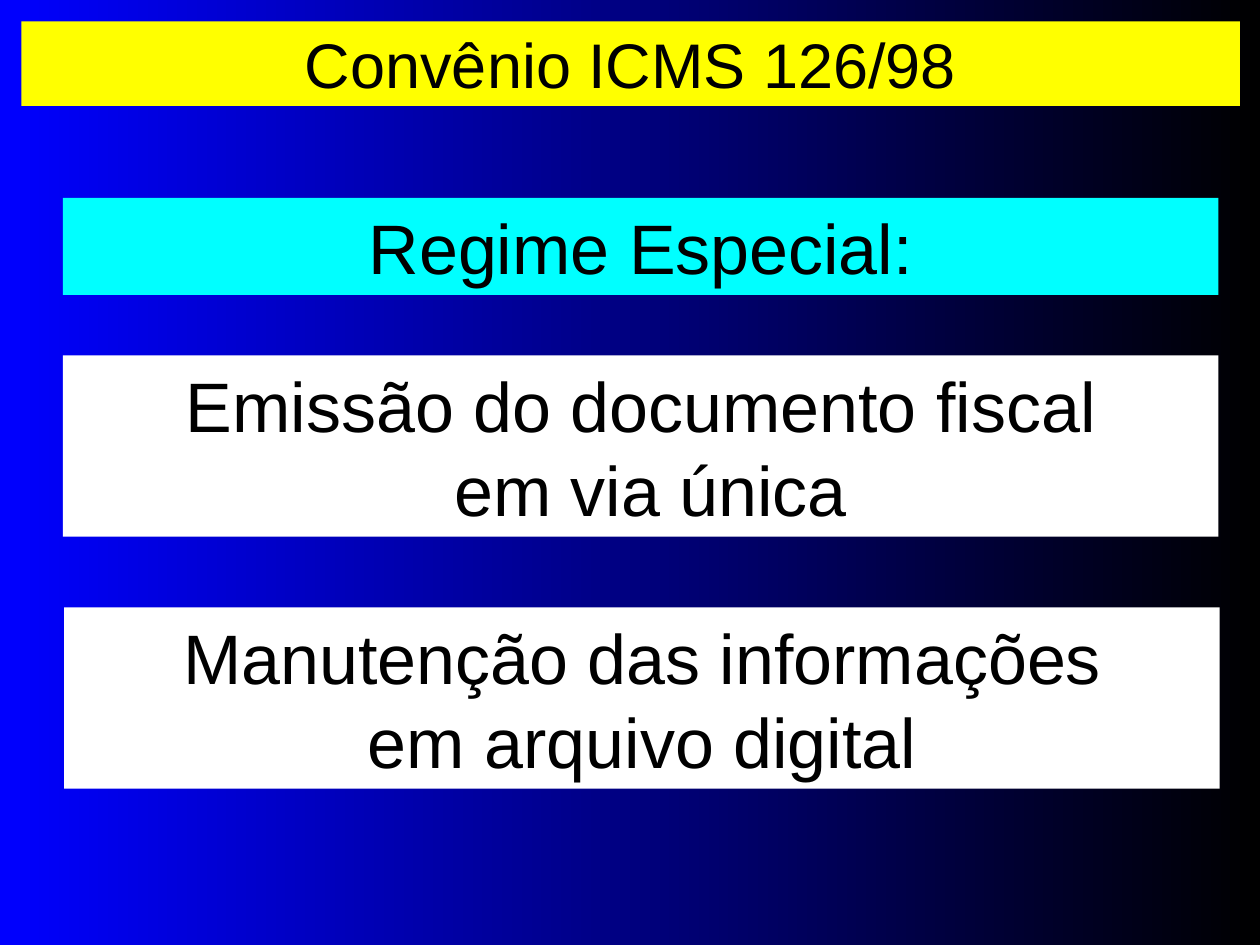
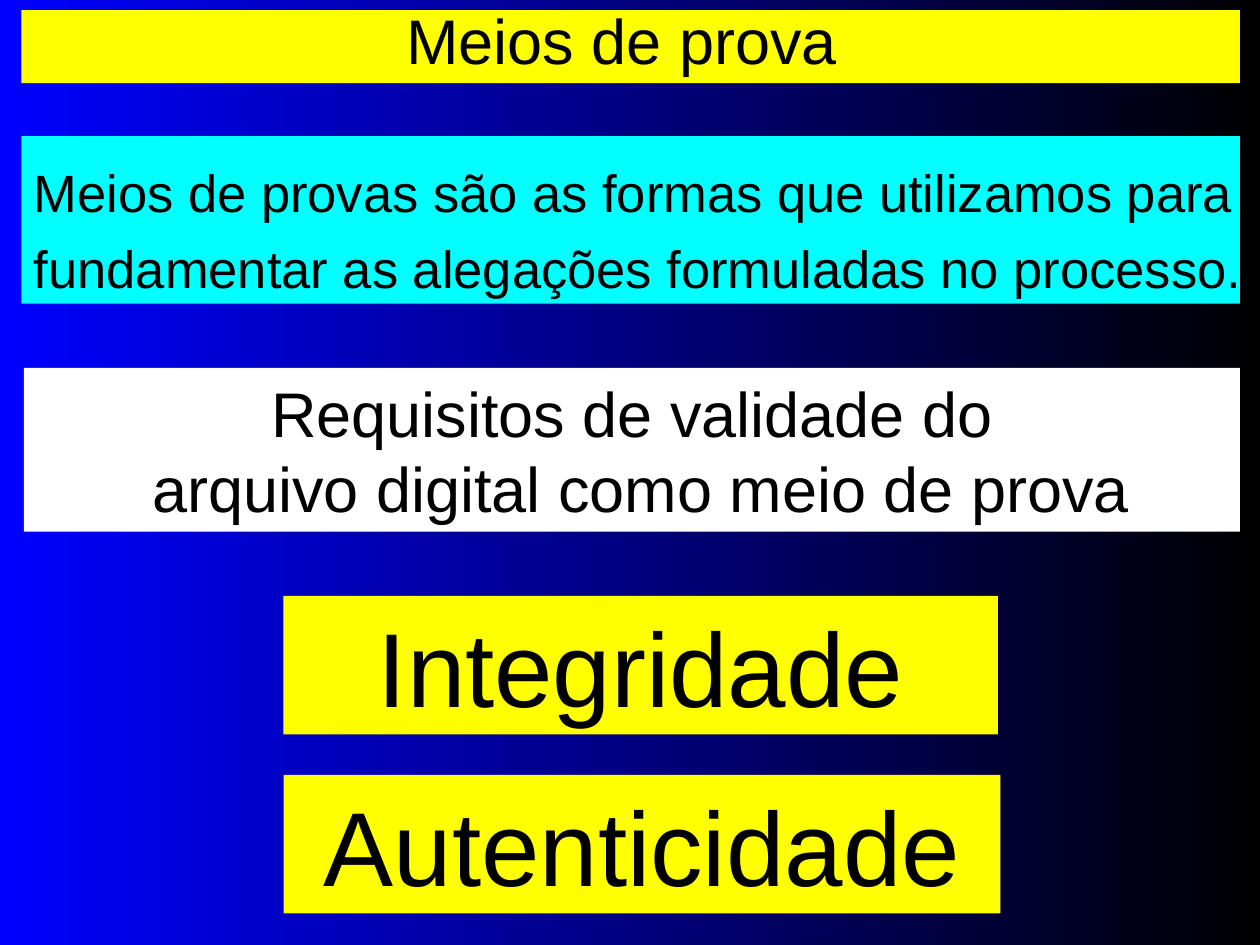
from dataclasses import dataclass

from pptx import Presentation
from pptx.dml.color import RGBColor
from pptx.enum.shapes import MSO_SHAPE
from pptx.enum.text import MSO_ANCHOR, MSO_AUTO_SIZE, PP_ALIGN
from pptx.util import Inches, Pt


@dataclass(frozen=True)
class Theme:
    font: str = "Arial"
    blue: RGBColor = RGBColor(0, 0, 255)
    black: RGBColor = RGBColor(0, 0, 0)
    yellow: RGBColor = RGBColor(255, 255, 0)
    cyan: RGBColor = RGBColor(0, 255, 255)
    white: RGBColor = RGBColor(255, 255, 255)
    title: int = 36
    body: int = 40
    definition: int = 30
    requirement: int = 36
    keyword: int = 60


theme = Theme()


def style_band(sp, box, color, text, size, align=PP_ALIGN.CENTER, spacing=1.0):
    sp.left, sp.top, sp.width, sp.height = [Inches(v) for v in box]
    sp.fill.solid()
    sp.fill.fore_color.rgb = color
    sp.line.fill.background()
    tf = sp.text_frame
    tf.text = text
    tf.word_wrap = True
    tf.auto_size = MSO_AUTO_SIZE.NONE
    tf.vertical_anchor = MSO_ANCHOR.MIDDLE
    tf.margin_left = tf.margin_right = Inches(0.1)
    tf.margin_top = tf.margin_bottom = Inches(0.05)
    for p in tf.paragraphs:
        p.alignment = align
        p.line_spacing = spacing
        for r in p.runs:
            r.font.name = theme.font
            r.font.size = Pt(size)
            r.font.color.rgb = theme.black


def add_band(s, box, color, text, size, **options):
    sp = s.shapes.add_shape(MSO_SHAPE.RECTANGLE, 0, 0, 0, 0)
    sp.shadow.inherit = False
    style_band(sp, box, color, text, size, **options)
    return sp


prs = Presentation()
prs.slide_width, prs.slide_height = Inches(10), Inches(7.5)

fill = prs.slide_master.background.fill
fill.gradient()
fill.gradient_angle = 0
for stop, position, color in zip(fill.gradient_stops, (0, 1), (theme.blue, theme.black)):
    stop.position = position
    stop.color.rgb = color

layout = prs.slide_layouts.get_by_name("Title Only")

s = prs.slides.add_slide(layout)
style_band(s.shapes.title, (0.17, 0.17, 9.67, 0.67), theme.yellow,
           "Convênio ICMS 126/98", theme.title)
for left, top, height, color, text in (
    (0.5, 1.57, 0.77, theme.cyan, "Regime Especial:"),
    (0.5, 2.82, 1.44, theme.white, "Emissão do documento fiscal\v em via única"),
    (0.51, 4.82, 1.44, theme.white, "Manutenção das informações\vem arquivo digital"),
):
    add_band(s, (left, top, 9.17, height), color, text, theme.body)

s = prs.slides.add_slide(layout)
style_band(s.shapes.title, (0.17, 0.08, 9.67, 0.58), theme.yellow,
           "Meios de prova ", theme.title, spacing=0.8)

definition = add_band(
    s, (0.17, 1.08, 9.67, 1.33), theme.cyan,
    "Meios de provas são as formas que utilizamos para\v"
    "fundamentar as alegações formuladas no processo.",
    theme.definition, align=PP_ALIGN.LEFT, spacing=1.2)
tf = definition.text_frame
tf.word_wrap = False
tf.vertical_anchor = MSO_ANCHOR.TOP
tf.margin_top = tf.margin_bottom = Inches(0.09)

add_band(s, (0.19, 2.92, 9.65, 1.3), theme.white,
         "Requisitos de validade do\n arquivo digital como meio de prova", theme.requirement)

for top, width, keyword in ((4.73, 5.67, "Integridade"), (6.15, 5.69, "Autenticidade")):
    add_band(s, (2.25, top, width, 1.1), theme.yellow, keyword, theme.keyword)

prs.save("out.pptx")
